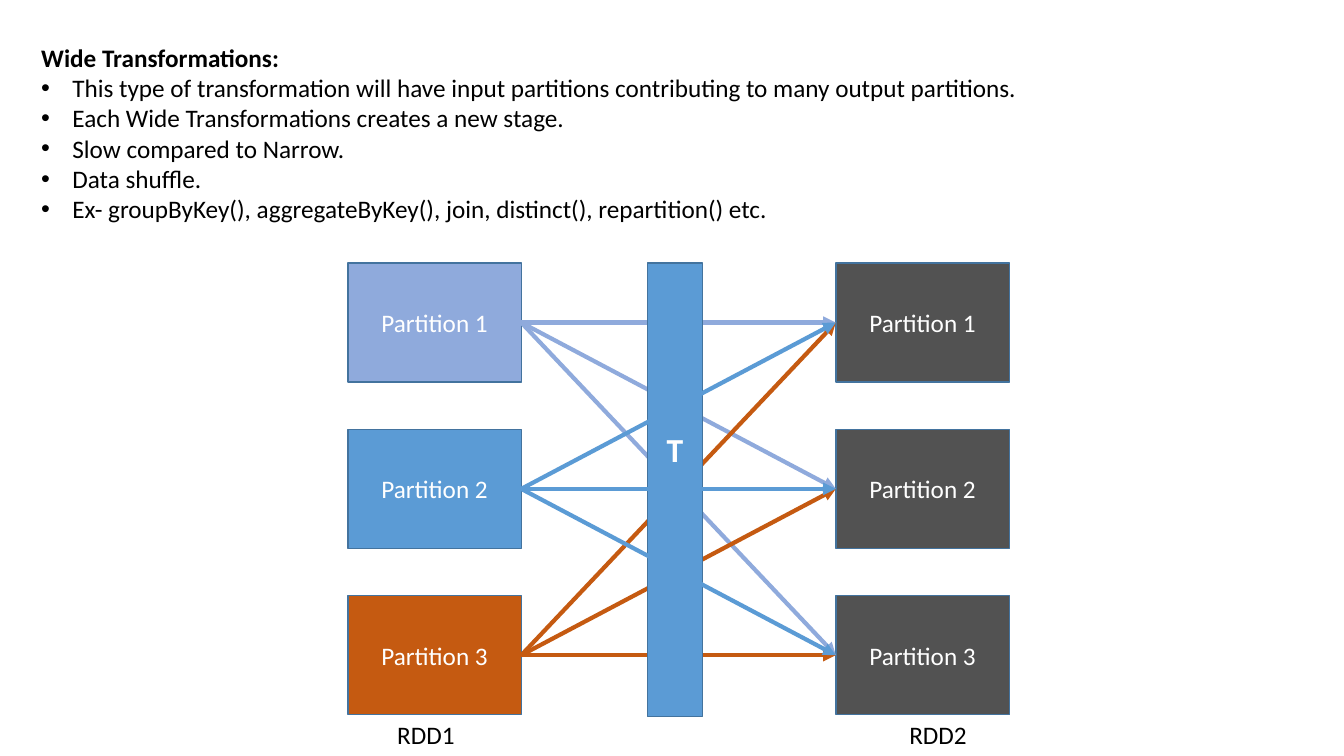
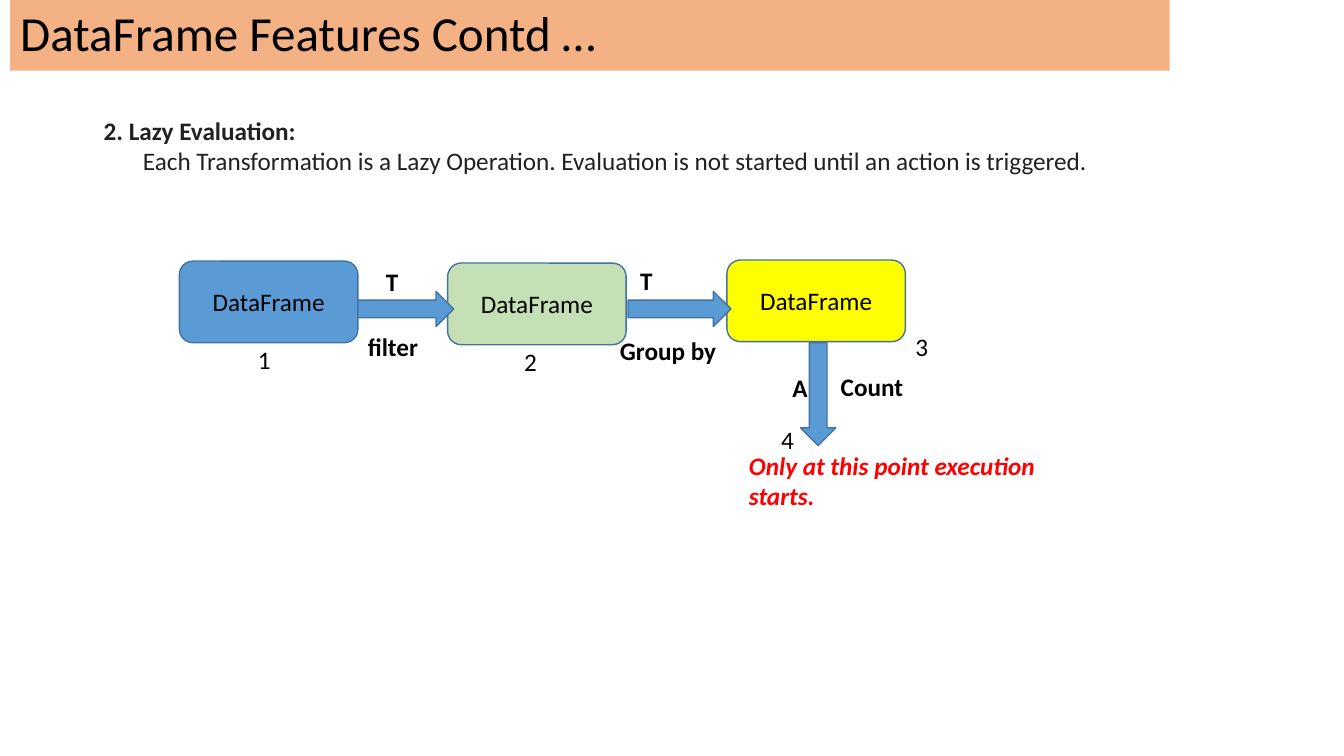
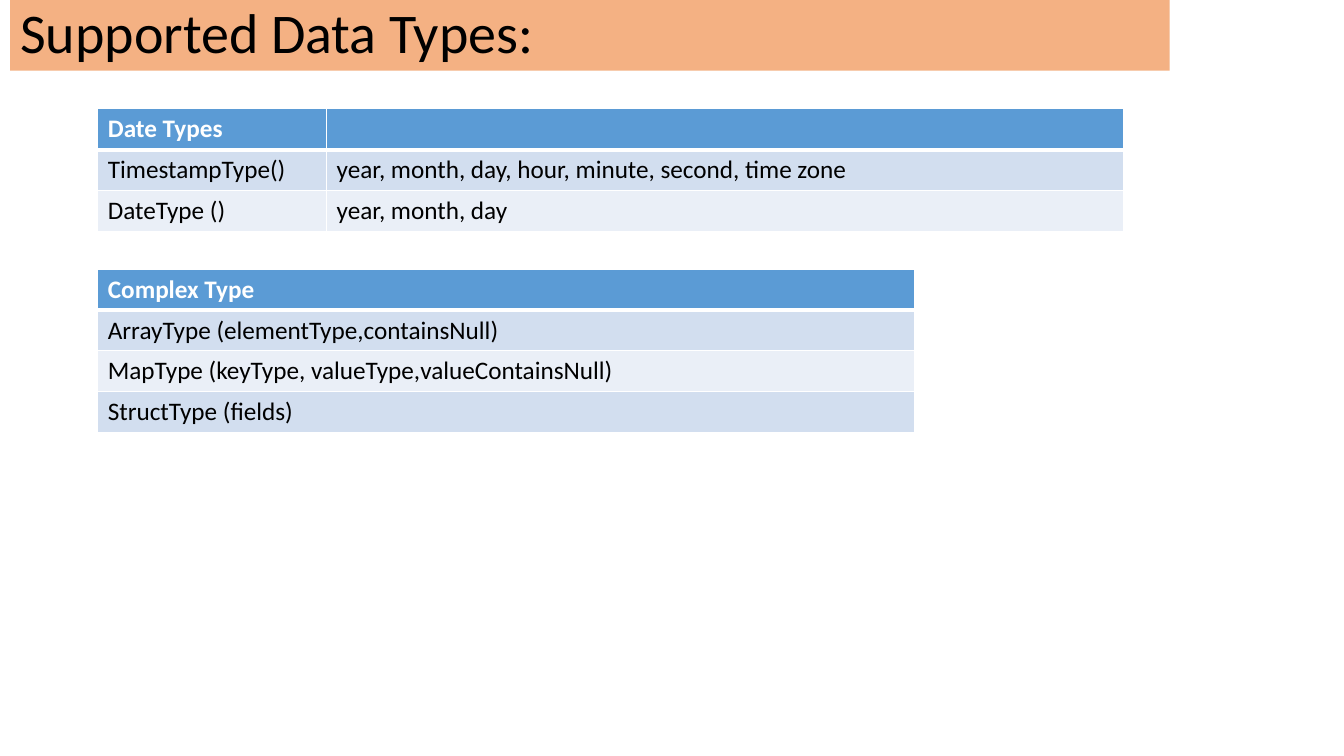
import pptx
import pptx.dml.color
import pptx.enum.shapes
import pptx.enum.text
import pptx.oxml.ns
import pptx.util
from lxml import etree

Inches = pptx.util.Inches
Pt = pptx.util.Pt
RGBColor = pptx.dml.color.RGBColor
Shape = pptx.enum.shapes.MSO_SHAPE
Align = pptx.enum.text.PP_ALIGN
Anchor = pptx.enum.text.MSO_ANCHOR
qn = pptx.oxml.ns.qn

FONT = "Calibri"
BLACK = RGBColor(0x00, 0x00, 0x00)
WHITE = RGBColor(0xFF, 0xFF, 0xFF)
INK = RGBColor(0x21, 0x21, 0x21)
RED = RGBColor(0xFF, 0x00, 0x00)
PEACH = RGBColor(0xF4, 0xB1, 0x83)
BLUE = RGBColor(0x5B, 0x9B, 0xD5)
OUTLINE = RGBColor(0x43, 0x73, 0x9E)
PERIWINKLE = RGBColor(0x8F, 0xAA, 0xDC)
ORANGE = RGBColor(0xC5, 0x5A, 0x11)
GRAY = RGBColor(0x52, 0x52, 0x52)
GREEN = RGBColor(0xC5, 0xE0, 0xB4)
YELLOW = RGBColor(0xFF, 0xFF, 0x00)
BANDS = (RGBColor(0xD2, 0xDE, 0xEF), RGBColor(0xEA, 0xEF, 0xF7))

TITLE_ONLY, BLANK = 5, 6
LEFT_SITE, RIGHT_SITE = 1, 3


class Painter:
    """Holds the shared style and the slide being built."""

    def __init__(self, deck):
        self.deck = deck
        self.page = None

    def new_page(self, title=None, size=40):
        layout = BLANK if title is None else TITLE_ONLY
        self.page = self.deck.slides.add_slide(self.deck.slide_layouts[layout])
        if title is None:
            return
        band = self.page.shapes.title
        band.left, band.top = Inches(0.1), Inches(0)
        band.width, band.height = Inches(11.5), Inches(0.7)
        band.fill.solid()
        band.fill.fore_color.rgb = PEACH
        frame = band.text_frame
        frame.auto_size = pptx.enum.text.MSO_AUTO_SIZE.NONE
        frame.vertical_anchor = Anchor.MIDDLE
        para = frame.paragraphs[0]
        para.text = title
        para.alignment = Align.LEFT
        para.line_spacing = 0.9
        self.style(para, size)

    def style(self, para, size=18, color=BLACK, bold=False, italic=False):
        font = para.font
        font.name, font.size = FONT, Pt(size)
        font.bold, font.italic = bold, italic
        font.color.rgb = color

    def text(self, left, top, width, height, words, **look):
        box = self.page.shapes.add_textbox(
            Inches(left), Inches(top), Inches(width), Inches(height))
        box.text_frame.word_wrap = True
        para = box.text_frame.paragraphs[0]
        para.text = words
        self.style(para, **look)
        return box.text_frame

    def add_line(self, frame, words, indent, bullet=False, **look):
        para = frame.add_paragraph()
        para.text = words
        properties = para._p.get_or_add_pPr()
        properties.set("marL", str(Inches(indent)))
        if bullet:
            properties.set("indent", str(-Inches(indent)))
            etree.SubElement(properties, qn("a:buFont"), typeface="Arial")
            etree.SubElement(properties, qn("a:buChar"), char="•")
        self.style(para, **look)

    def shape(self, kind, left, top, width, height, fill, words="", **look):
        box = self.page.shapes.add_shape(
            kind, Inches(left), Inches(top), Inches(width), Inches(height))
        box.shadow.inherit = False
        box.fill.solid()
        box.fill.fore_color.rgb = fill
        box.line.color.rgb = OUTLINE
        box.line.width = Pt(1)
        if words:
            box.text_frame.vertical_anchor = Anchor.MIDDLE
            para = box.text_frame.paragraphs[0]
            para.text = words
            para.alignment = Align.CENTER
            self.style(para, **look)
        return box

    def arrow(self, source, target, color):
        link = self.page.shapes.add_connector(
            pptx.enum.shapes.MSO_CONNECTOR.STRAIGHT, 0, 0, 0, 0)
        link.begin_connect(source, RIGHT_SITE)
        link.end_connect(target, LEFT_SITE)
        link.line.color.rgb = color
        link.line.width = Pt(3)
        etree.SubElement(link.line._get_or_add_ln(), qn("a:tailEnd"), type="triangle")
        etree.SubElement(link._element.spPr, qn("a:effectLst"))

    def border(self, cell, side, points):
        line = etree.SubElement(
            cell._tc.get_or_add_tcPr(), qn("a:ln" + side), w=str(Pt(points)))
        fill = etree.SubElement(line, qn("a:solidFill"))
        etree.SubElement(fill, qn("a:srgbClr"), val=str(WHITE))

    def table(self, left, top, widths, rows, row_height=0.405):
        frame = self.page.shapes.add_table(
            len(rows), len(widths), Inches(left), Inches(top),
            Inches(sum(widths)), Inches(row_height * len(rows)))
        table = frame.table
        table.horz_banding = False
        for column, width in zip(table.columns, widths):
            column.width = Inches(width)
        for r, row in enumerate(rows):
            header = r == 0
            for c, words in enumerate(row):
                cell = table.cell(r, c)
                for side in "LRTB":
                    under_header = (r, side) in ((0, "B"), (1, "T"))
                    self.border(cell, side, 3 if under_header else 1)
                cell.fill.solid()
                cell.fill.fore_color.rgb = BLUE if header else BANDS[(r - 1) % 2]
                para = cell.text_frame.paragraphs[0]
                para.text = words
                self.style(para, color=WHITE if header else BLACK, bold=header)


def wide_transformations(painter):
    painter.new_page()
    frame = painter.text(0.31, 0.37, 11.65, 1.92, "Wide Transformations:", bold=True)
    for words in (
        "This type of transformation will have input partitions contributing to many output partitions.",
        "Each Wide Transformations creates a new stage.",
        "Slow compared to Narrow.",
        "Data shuffle.",
        "Ex- groupByKey(), aggregateByKey(), join, distinct(), repartition() etc.",
    ):
        painter.add_line(frame, words, 0.31, bullet=True)

    # Partitions before and after the shuffle
    colors = (PERIWINKLE, BLUE, ORANGE)
    inputs, outputs = [], []
    for row, color in enumerate(colors):
        for left, fill, boxes in ((3.45, color, inputs), (8.29, GRAY, outputs)):
            boxes.append(painter.shape(
                Shape.RECTANGLE, left, 2.61 + 1.65 * row, 1.72, 1.18, fill,
                f"Partition {row + 1}", color=WHITE))
    painter.text(3.84, 7.09, 1.08, 0.4, "RDD1")
    painter.text(8.92, 7.09, 1.08, 0.4, "RDD2")

    # Every input feeds every output; the blue links lie over the bar
    def fan_out(row):
        for output in outputs:
            painter.arrow(inputs[row], output, colors[row])

    fan_out(0)
    fan_out(2)
    bar = painter.shape(Shape.RECTANGLE, 6.42, 2.61, 0.55, 4.5, BLUE, "T",
                        size=24, color=WHITE, bold=True)
    bar.text_frame.margin_bottom = Inches(0.85)
    fan_out(1)


def lazy_evaluation(painter):
    painter.new_page("DataFrame Features Contd …", size=35)
    frame = painter.text(0.93, 1.09, 10.37, 0.71, "2. Lazy Evaluation:",
                         color=INK, bold=True)
    painter.add_line(
        frame,
        "Each Transformation is a Lazy Operation. Evaluation is not started until an action is triggered.",
        0.39, color=INK)

    # Chain of data frames
    for left, top, fill in ((1.78, 2.59, BLUE), (4.44, 2.61, GREEN), (7.21, 2.58, YELLOW)):
        painter.shape(Shape.ROUNDED_RECTANGLE, left, top, 1.77, 0.81, fill, "DataFrame")
    painter.shape(Shape.RIGHT_ARROW, 3.55, 2.89, 0.95, 0.35, BLUE)
    painter.shape(Shape.RIGHT_ARROW, 6.23, 2.89, 1.02, 0.35, BLUE)
    painter.shape(Shape.DOWN_ARROW, 7.94, 3.4, 0.35, 1.02, BLUE)

    # Step names and numbers
    for left, top, width, words in (
        (3.73, 2.59, 0.68, "T"), (6.25, 2.58, 0.68, "T"),
        (3.55, 3.24, 0.92, "filter"), (6.05, 3.28, 1.2, "Group by"),
        (7.76, 3.64, 0.68, "A"), (8.24, 3.63, 1.2, "Count"),
    ):
        painter.text(left, top, width, 0.4, words, bold=True)
    painter.text(7.33, 4.42, 3.48, 0.71, "Only at this point execution starts.",
                 color=RED, bold=True, italic=True)
    number_places = ((2.46, 3.37), (5.1, 3.39), (8.98, 3.24), (7.65, 4.16))
    for number, (left, top) in enumerate(number_places, 1):
        painter.text(left, top, 0.4, 0.4, str(number))


def data_types(painter):
    painter.new_page("Supported Data Types:")
    painter.table(0.97, 1.08, (2.27, 7.9), (
        ("Date Types", ""),
        ("TimestampType()", "year, month, day, hour, minute, second, time zone"),
        ("DateType ()", "year, month, day"),
    ))
    painter.table(0.97, 2.67, (8.1,), (
        ("Complex Type",),
        ("ArrayType (elementType,containsNull)",),
        ("MapType (keyType, valueType,valueContainsNull)",),
        ("StructType (fields)",),
    ))


def main():
    deck = pptx.Presentation()
    deck.slide_width, deck.slide_height = Inches(13.33), Inches(7.5)
    painter = Painter(deck)
    wide_transformations(painter)
    lazy_evaluation(painter)
    data_types(painter)
    deck.save("out.pptx")


if __name__ == "__main__":
    main()
